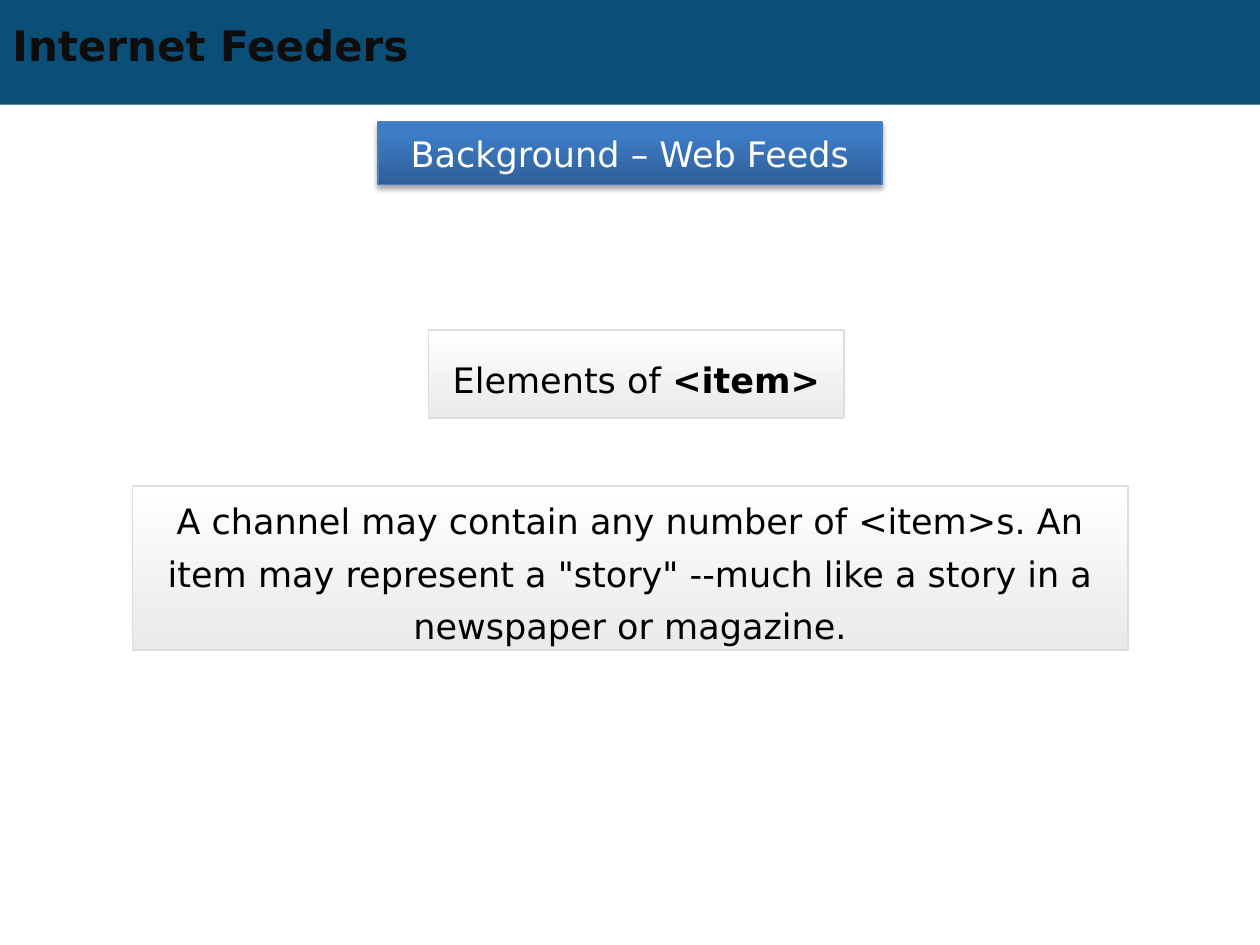
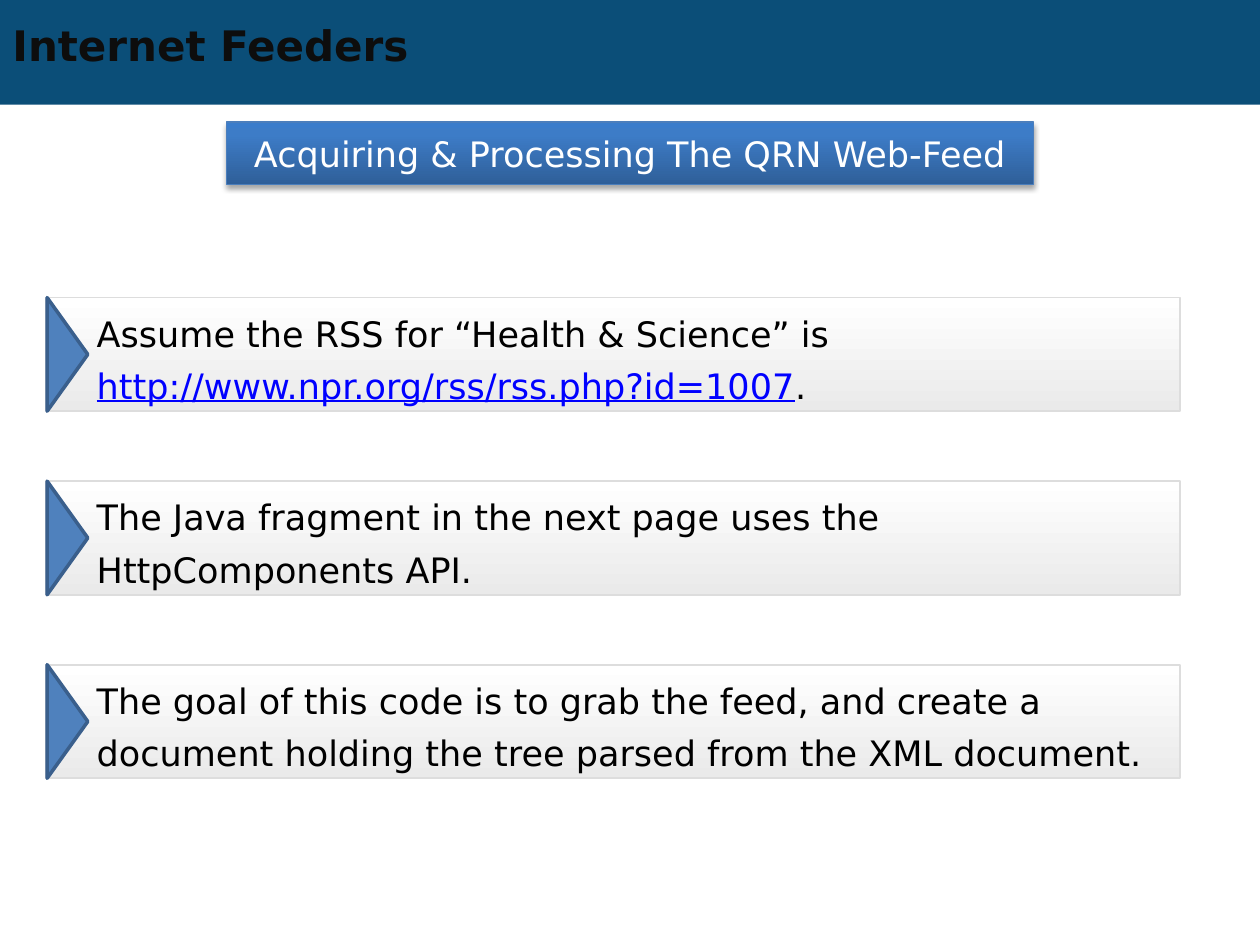
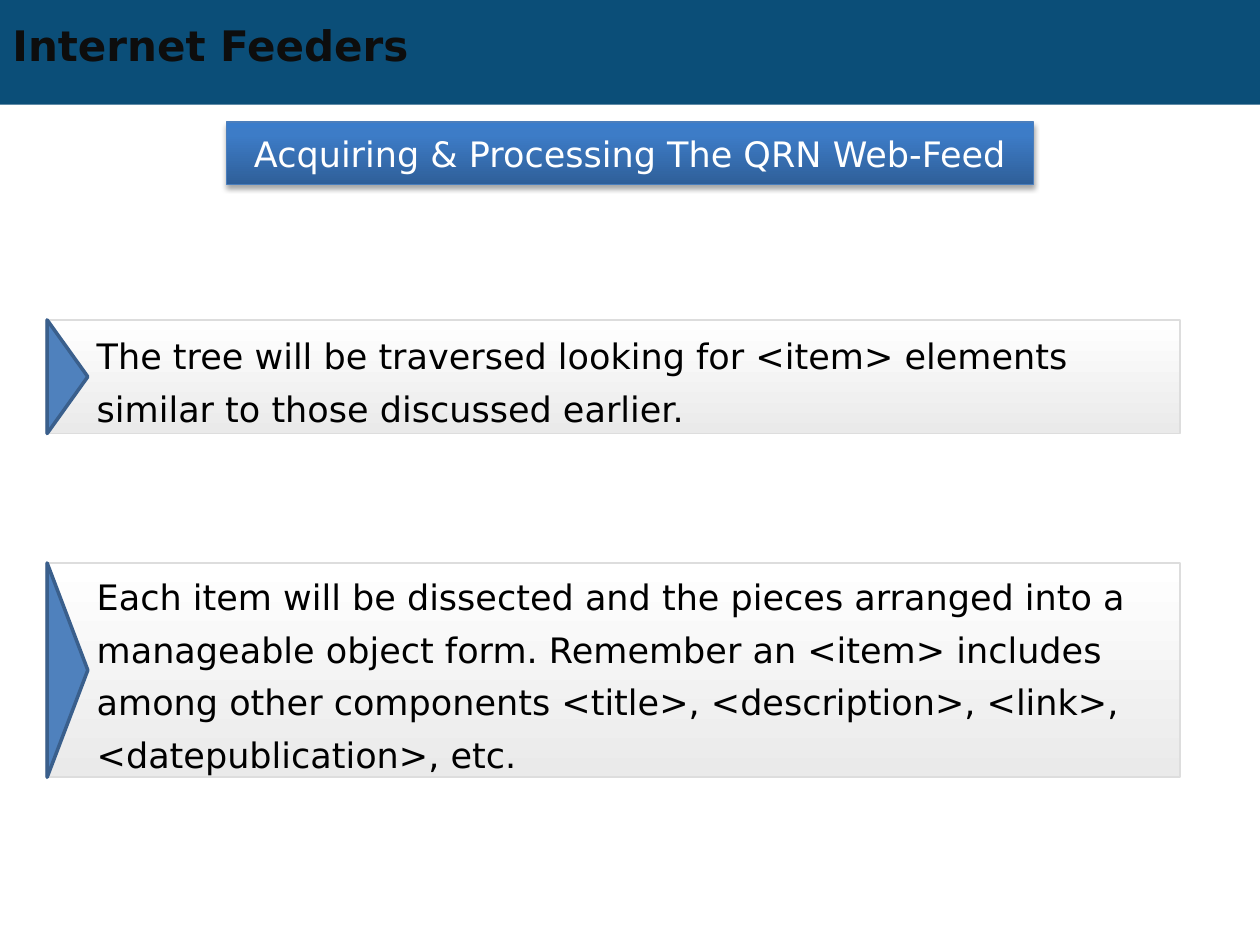
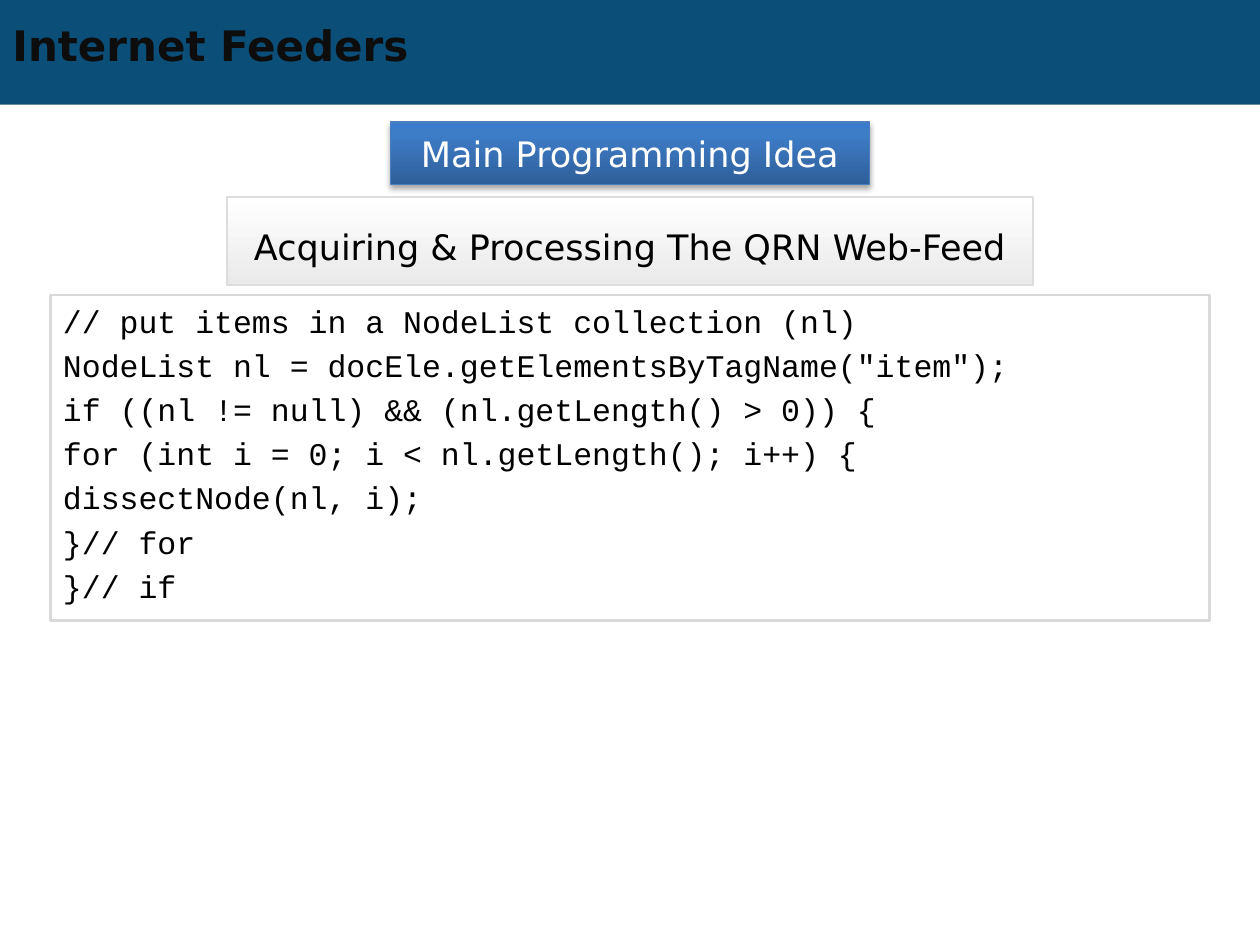
"""Build four lecture slides about web feeds."""
from copy import deepcopy

from lxml import etree
from pptx import Presentation
from pptx.dml.color import RGBColor
from pptx.enum import shapes, text
from pptx.oxml import ns
from pptx.util import Cm, Pt

HUES = {
    "band": "0B4E78", "title": "0D0D0D", "ink": "000000", "white": "FFFFFF",
    "link": "0000FF", "edge": "DDDDDD", "rim": "4B7EBC", "frame": "D9D9D9",
    "arrow": "4F81BD", "side": "3A5F8C",
}
PALE = [(0, "FFFFFF"), (1, "EAEAEA")]
BLUE = [(0, "2F5F99"), (0.8, "3D7CC7"), (1, "3A7CCB")]
RECT = shapes.MSO_SHAPE.RECTANGLE
LEFT, MID = text.PP_ALIGN.LEFT, text.PP_ALIGN.CENTER
TOP, HALF = text.MSO_ANCHOR.TOP, text.MSO_ANCHOR.MIDDLE
WIDE, TALL = 25.4, 19.05
FEED = "Acquiring & Processing The QRN Web-Feed"


def write(shape, *paras, font="DejaVu Sans", size=20, hue="ink", bold=False,
          align=LEFT, anchor=HALF, pitch=None, gap=0, pad=(0.25, 0.13, 0.25, 0.13)):
    frame = shape.text_frame
    frame.word_wrap = True
    frame.auto_size = text.MSO_AUTO_SIZE.NONE
    frame.vertical_anchor = anchor
    frame.margin_left, frame.margin_top, frame.margin_right, frame.margin_bottom = map(Cm, pad)
    for i, para in enumerate(paras):
        line = frame.add_paragraph() if i else frame.paragraphs[0]
        line.alignment = align
        if pitch:
            line.line_spacing = Pt(pitch)
        if i and gap:
            line.space_before = Pt(gap)
        for part in [para] if isinstance(para, str) else para:
            words, style = (part, {}) if isinstance(part, str) else part
            run = line.add_run()
            run.text = words
            run.font.name, run.font.size = font, Pt(size)
            run.font.bold = style.get("bold", bold)
            run.font.underline = style.get("under", False)
            run.font.color.rgb = RGBColor.from_string(HUES[style.get("hue", hue)])


def draw(home, kind, left, top, width, height, fill=None, line=None, weight=1, angle=270):
    shape = home.shapes.add_shape(kind, Cm(left), Cm(top), Cm(width), Cm(height))
    shape.shadow.inherit = False
    if isinstance(fill, list):
        shape.fill.gradient()
        shape.fill.gradient_angle = angle
        stops = shape.element.find(".//" + ns.qn("a:gsLst"))
        for _ in fill[2:]:
            stops.append(deepcopy(stops[-1]))
        for stop, (place, hue) in zip(shape.fill.gradient_stops, fill):
            stop.position = place
            stop.color.rgb = RGBColor.from_string(hue)
    elif fill:
        shape.fill.solid()
        shape.fill.fore_color.rgb = RGBColor.from_string(HUES[fill])
    else:
        shape.fill.background()
    if line:
        shape.line.color.rgb = RGBColor.from_string(HUES[line])
        shape.line.width = Pt(weight)
    else:
        shape.line.fill.background()
    return shape


deck = Presentation()
deck.slide_width, deck.slide_height = Cm(WIDE), Cm(TALL)
plan = deck.slide_layouts[5]

pages = []
for label, width in [("Background – Web Feeds", 10.16), (FEED, 16.26),
                     (FEED, 16.26), ("Main Programming Idea", 9.65)]:
    page = deck.slides.add_slide(plan)
    if not pages:
        band = draw(page, RECT, 0, 0, WIDE, 2.11, "band")
        plan.shapes.element.insert(2, band.element)
    title = page.shapes.title
    title.left, title.top, title.width, title.height = Cm(0), Cm(0.36), Cm(22.86), Cm(1.09)
    write(title, "Internet Feeders", size=24, hue="title", bold=True)
    sign = draw(page, RECT, (WIDE - width) / 2, 2.46, width, 1.26, BLUE, "rim", 0.75, angle=90)
    glow = etree.SubElement(sign.element.spPr.find(ns.qn("a:effectLst")), ns.qn("a:outerShdw"),
                            blurRad=str(Pt(3.1)), dist=str(Pt(1.8)), dir="5400000", rotWithShape="0")
    tone = etree.SubElement(glow, ns.qn("a:srgbClr"), val=HUES["ink"])
    etree.SubElement(tone, ns.qn("a:alpha"), val="35000")
    write(sign, label, hue="white", align=MID)
    pages.append(page)

story = ('A channel may contain any number of <item>s. An item may represent a "story" '
         "--much like a story in a newspaper or magazine.")
panels = [
    (0, 8.64, 6.65, 8.38, 1.78, ["Elements of ", ("<item>", {"bold": True})]),
    (0, 2.67, 9.8, 20.07, 3.3, story),
    (3, 4.57, 3.97, 16.26, 1.78, FEED),
]
for num, left, top, width, height, words in panels:
    panel = draw(pages[num], RECT, left, top, width, height, PALE, "edge")
    write(panel, words, align=MID, pitch=30)

rows = [
    (1, 6, 2.29, ["Assume the RSS for “Health & Science” is ",
                  ("http://www.npr.org/rss/rss.php?id=1007", {"hue": "link", "under": True}), "."]),
    (1, 9.7, 2.29, "The Java fragment in the next page uses the HttpComponents API."),
    (1, 13.4, 2.29, "The goal of this code is to grab the feed, and create a document "
                    "holding the tree parsed from the XML document."),
    (2, 6.45, 2.29, "The tree will be traversed looking for <item> elements similar to "
                    "those discussed earlier."),
    (2, 11.35, 4.32, "Each item will be dissected and the pieces arranged into a manageable "
                     "object form. Remember an <item> includes among other components "
                     "<title>, <description>, <link>, <datepublication>, etc."),
]
for num, top, height, words in rows:
    group = pages[num].shapes.add_group_shape()
    bar = draw(group, RECT, 0.93, top, 22.86, height, PALE, "edge")
    write(bar, words, pitch=30, pad=(1.02, 0, 0.25, 0))
    tip = draw(group, shapes.MSO_SHAPE.ISOSCELES_TRIANGLE, 1.36 - height / 2,
               top + height / 2 - 0.41, height, 0.82, "arrow", "side", 2)
    tip.rotation = 90

code = draw(pages[3], RECT, 1.02, 5.95, 23.37, 6.56, line="frame", weight=1.5)
write(code,
      "// put items in a NodeList collection (nl)",
      'NodeList nl = docEle.getElementsByTagName("item");',
      "if ((nl != null) && (nl.getLength() > 0)) {",
      "for (int i = 0; i < nl.getLength(); i++) {",
      "dissectNode(nl, i);",
      "}// for",
      "}// if",
      font="Courier New", size=18, anchor=TOP, gap=3.6, pad=(0.25, 0.14, 0.25, 0.13))

deck.save("out.pptx")
